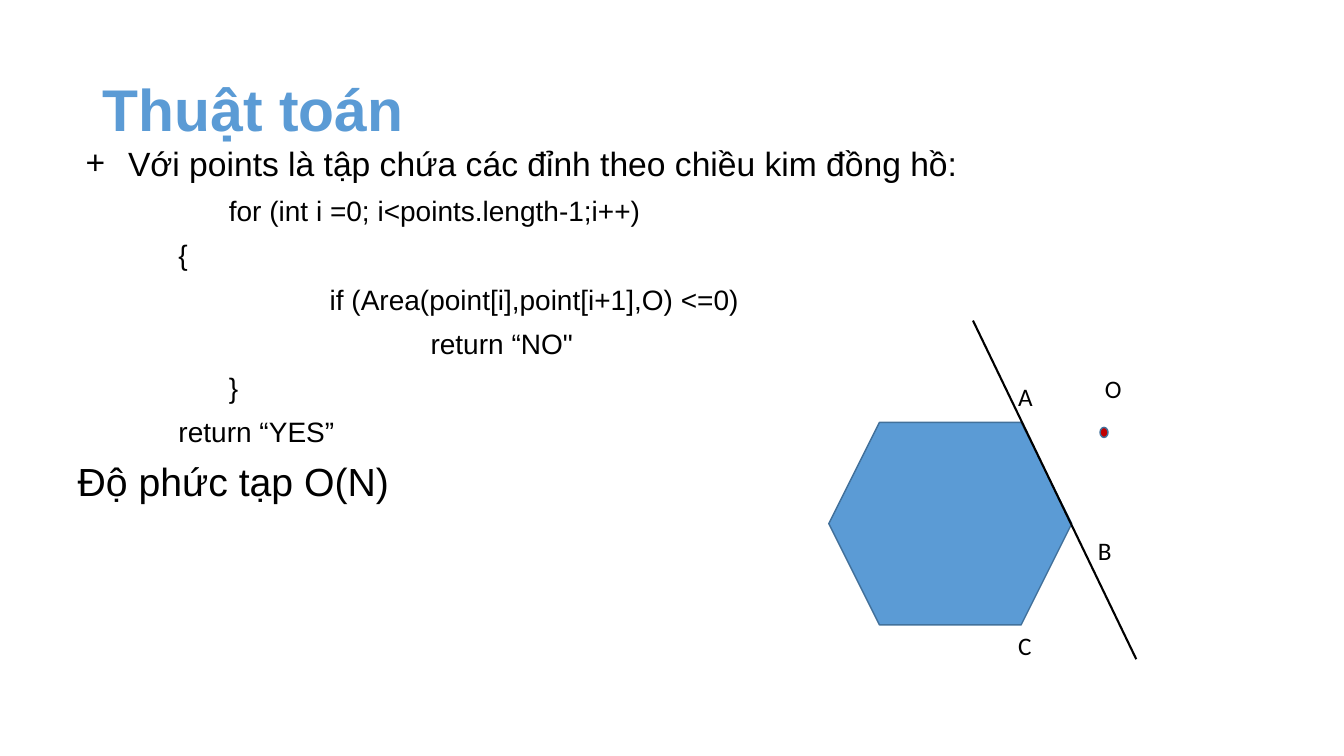
"""Build the slide on testing whether a point lies inside a convex polygon."""
from pptx import Presentation
from pptx.dml.color import RGBColor
from pptx.enum.shapes import MSO_CONNECTOR as CONN, MSO_SHAPE as SHAPE
from pptx.enum.text import MSO_ANCHOR as ANCHOR, MSO_AUTO_SIZE as AUTO, PP_ALIGN as ALIGN
from pptx.oxml import parse_xml
from pptx.oxml.ns import nsdecls
from pptx.util import Inches, Pt

THEME = {
    "blue": RGBColor(0x5B, 0x9B, 0xD5),
    "edge": RGBColor(0x42, 0x71, 0x9B),
    "red": RGBColor(0xC0, 0x00, 0x00),
    "black": RGBColor(0, 0, 0),
    "title": Pt(42), "lead": Pt(24), "code": Pt(20), "closing": Pt(28), "label": Pt(18),
    "text_font": "Arial", "label_font": "Calibri",
}


def place(sp, left, top, width, height):
    box = {"left": left, "top": top, "width": width, "height": height}
    for name, value in box.items():
        setattr(sp, name, Inches(value))


def write(p, text, **fmt):
    r = p.add_run()
    r.text = text
    r.font.color.rgb = fmt.pop("color", THEME["black"])
    for name, value in fmt.items():
        setattr(r.font, name, value)


prs = Presentation()
prs.slide_width, prs.slide_height = Inches(13.33), Inches(7.5)
s = prs.slides.add_slide(prs.slide_layouts[1])

title = s.shapes.title
place(title, 0.92, 0.4, 11.5, 1.43)
tf = title.text_frame
tf.auto_size, tf.vertical_anchor = AUTO.NONE, ANCHOR.MIDDLE
p = tf.paragraphs[0]
p.alignment, p.line_spacing = ALIGN.LEFT, 0.9
write(p, "Thuật toán", name=THEME["text_font"], size=THEME["title"], bold=True, color=THEME["blue"])

body = s.placeholders[1]
place(body, 0.67, 0.81, 11.5, 5.25)
tf = body.text_frame
tf.auto_size, tf.vertical_anchor = AUTO.NONE, ANCHOR.TOP
tf.margin_top = Inches(0.65)
lines = [
    ("Với points là tập chứa các đỉnh theo chiều kim đồng hồ:", 0.5, "lead"),
    ("for (int i =0; i<points.length-1;i++)", 1.5, "code"),
    ("{", 1, "code"),
    ("if (Area(point[i],point[i+1],O) <=0)", 2.5, "code"),
    ("return “NO\"", 3.5, "code"),
    ("}", 1.5, "code"),
    ("return “YES”", 1, "code"),
    ("Độ phức tạp O(N)", 0, "closing"),
]
for i, (text, indent, role) in enumerate(lines):
    p = tf.paragraphs[0] if i == 0 else tf.add_paragraph()
    p.line_spacing, p.space_before = 0.9, Pt(10 if i else 0)
    write(p, text, name=THEME["text_font"], size=THEME[role])
    pPr = p._p.get_or_add_pPr()
    pPr.set("marL", str(Inches(indent)))
    pPr.set("indent", str(Inches(-0.42 if role == "lead" else 0)))
    if role == "lead":
        bullet = [f'<a:buClr {nsdecls("a")}><a:srgbClr val="{THEME["black"]}"/></a:buClr>',
                  f'<a:buFont {nsdecls("a")} typeface="{THEME["text_font"]}"/>',
                  f'<a:buChar {nsdecls("a")} char="+"/>']
    else:
        bullet = [f'<a:buNone {nsdecls("a")}/>']
    for xml in bullet:
        pPr.append(parse_xml(xml))

figures = [
    (SHAPE.HEXAGON, (8.22, 4.19, 2.41, 2.01), "blue"),
    (SHAPE.OVAL, (10.91, 4.24, 0.08, 0.1), "red"),
]
for kind, box, fill in figures:
    sp = s.shapes.add_shape(kind, *map(Inches, box))
    sp.shadow.inherit = False
    sp.fill.solid()
    sp.fill.fore_color.rgb = THEME[fill]
    sp.line.color.rgb, sp.line.width = THEME["edge"], Pt(1)

edge = s.shapes.add_connector(CONN.STRAIGHT, *map(Inches, (9.65, 3.18, 11.27, 6.54)))
edge.line.color.rgb, edge.line.width = THEME["black"], Pt(1.5)
edge._element.spPr.append(parse_xml(f'<a:effectLst {nsdecls("a")}/>'))

labels = [("O", 10.86, 3.65, 0.4), ("A", 10, 3.73, 0.34), ("B", 10.79, 5.26, 0.34), ("C", 10, 6.2, 0.22)]
for text, left, top, width in labels:
    sp = s.shapes.add_textbox(*map(Inches, (left, top, width, 0.4)))
    sp.text_frame.word_wrap = True
    write(sp.text_frame.paragraphs[0], text, name=THEME["label_font"], size=THEME["label"])

prs.save("out.pptx")
